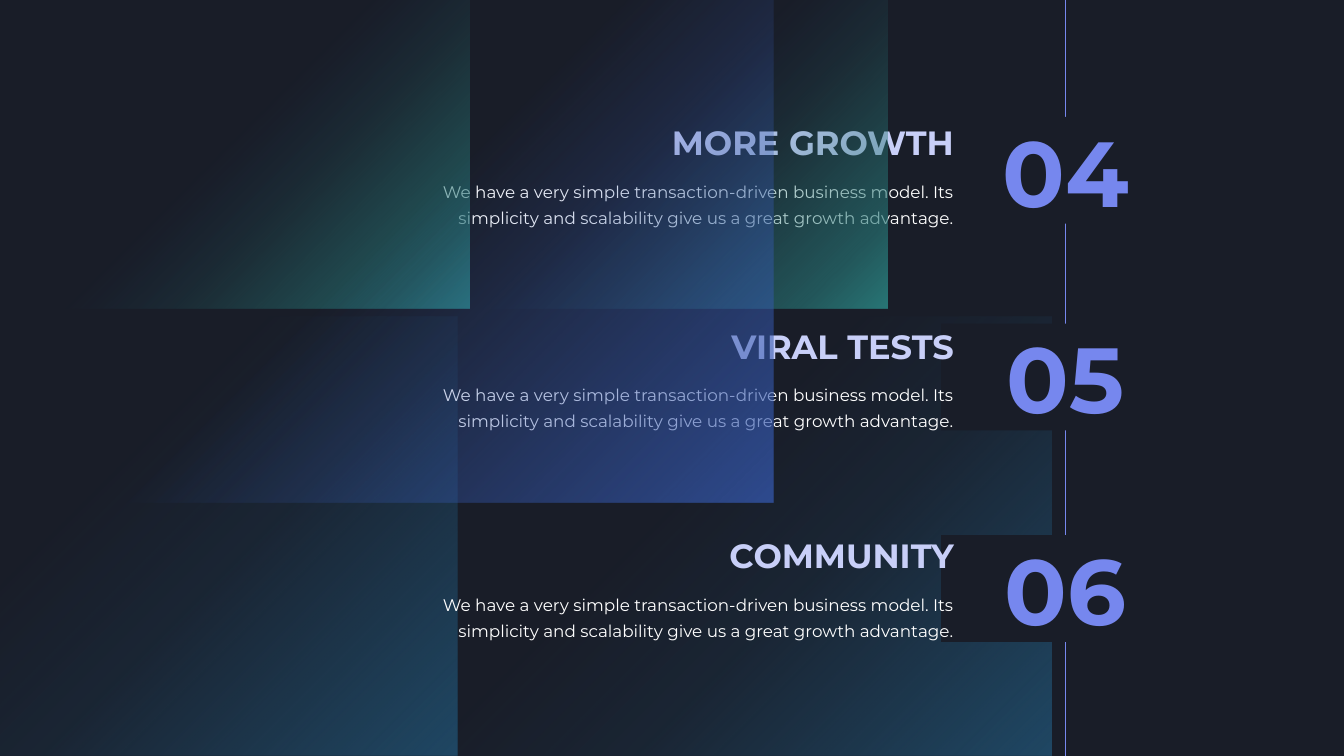
from lxml import etree
from pptx import Presentation
from pptx.dml.color import RGBColor
from pptx.enum.shapes import MSO_CONNECTOR, MSO_SHAPE
from pptx.enum.text import MSO_ANCHOR, PP_ALIGN
from pptx.oxml import parse_xml
from pptx.oxml.ns import nsdecls, qn
from pptx.util import Inches, Pt

RECTANGLE = MSO_SHAPE.RECTANGLE
STRAIGHT = MSO_CONNECTOR.STRAIGHT
MIDDLE = MSO_ANCHOR.MIDDLE
CENTER, RIGHT = PP_ALIGN.CENTER, PP_ALIGN.RIGHT

WIDTH, HEIGHT = 13.33, 7.5
FONT = "Montserrat"
NIGHT, PERIWINKLE, LAVENDER, WHITE = "191D28", "7687EE", "C8CFF8", "FFFFFF"

# Gradient stops: position in percent, colour, opacity in percent
BLUE_GLOW = [(0, "215273", 80), (40, "215273", 16), (61, "215273", 0)]
TEAL_GLOW = [(0, "287676", 100), (12, "287676", 65), (38, "287676", 19), (56, "215273", 0)]
INDIGO_GLOW = [(0, "3558AE", 75), (51, "3558AE", 0)]

LINE_X = 10.57
NUMBER_WIDTH, NUMBER_HEIGHT = 2.47, 1.06
TEXT_RIGHT = 9.46
BODY = ("We have a very simple transaction-driven business model. "
        "Its simplicity and scalability give us a great growth advantage.")
# Number, its top, heading, its top
ITEMS = [("04", 1.16, "MORE GROWTH", 1.16),
         ("05", 3.21, "VIRAL TESTS", 3.18),
         ("06", 5.31, "COMMUNITY", 5.26)]


def color(value):
    return RGBColor.from_string(value)


def add_rectangle(slide, left, top, width, height):
    shape = slide.shapes.add_shape(
        RECTANGLE, Inches(left), Inches(top), Inches(width), Inches(height))
    shape.shadow.inherit = False
    shape.line.fill.background()
    return shape


def add_glow(slide, left, top, width, height, stops, rotation=0, flipped=False):
    """Add a rectangle whose colour fades out from one corner."""
    shape = add_rectangle(slide, left, top, width, height)
    shape.rotation = rotation
    properties = shape._element.spPr
    if flipped:
        properties.find(qn("a:xfrm")).set("flipH", "1")
    stop_xml = "".join(
        f'<a:gs pos="{position * 1000}"><a:srgbClr val="{value}">'
        f'<a:alpha val="{opacity * 1000}"/></a:srgbClr></a:gs>'
        for position, value, opacity in stops)
    properties.find(qn("a:prstGeom")).addnext(parse_xml(
        f'<a:gradFill {nsdecls("a")} rotWithShape="1"><a:gsLst>{stop_xml}</a:gsLst>'
        '<a:path path="circle"><a:fillToRect l="100000" t="100000"/></a:path>'
        '</a:gradFill>'))


def add_timeline(slide):
    line = slide.shapes.add_connector(
        STRAIGHT, Inches(LINE_X), 0, Inches(LINE_X), Inches(HEIGHT))
    line.line.color.rgb = color(PERIWINKLE)
    line.line.width = Pt(0.75)
    etree.SubElement(line._element.spPr, qn("a:effectLst"))


def add_number(slide, number, top):
    """Add an outlined number on a plate that interrupts the timeline."""
    plate = add_rectangle(
        slide, LINE_X - NUMBER_WIDTH / 2, top, NUMBER_WIDTH, NUMBER_HEIGHT)
    plate.fill.solid()
    plate.fill.fore_color.rgb = color(NIGHT)
    frame = plate.text_frame
    frame.margin_left = frame.margin_right = 0
    frame.vertical_anchor = MIDDLE
    paragraph = frame.paragraphs[0]
    paragraph.alignment = CENTER
    run = paragraph.add_run()
    run.text = number
    run.font.name, run.font.size, run.font.bold = FONT, Pt(66), True
    run.font.fill.background()
    run.font._element.insert(0, parse_xml(
        f'<a:ln {nsdecls("a")} w="{Pt(0.5)}"><a:solidFill>'
        f'<a:srgbClr val="{PERIWINKLE}"/></a:solidFill></a:ln>'))


def add_text(slide, text, top, width, height, size, text_color, bold=False):
    """Add right-aligned text ending at the shared right edge."""
    box = slide.shapes.add_textbox(
        Inches(TEXT_RIGHT - width), Inches(top), Inches(width), Inches(height))
    frame = box.text_frame
    frame.word_wrap = True
    frame.margin_left = frame.margin_right = 0
    paragraph = frame.paragraphs[0]
    paragraph.text = text
    paragraph.alignment = RIGHT
    font = paragraph.font
    font.name, font.size, font.bold = FONT, Pt(size), bold
    font.color.rgb = color(text_color)
    return paragraph


def main():
    presentation = Presentation()
    presentation.slide_width = Inches(WIDTH)
    presentation.slide_height = Inches(HEIGHT)
    slide = presentation.slides.add_slide(presentation.slide_layouts[6])
    slide.background.fill.solid()
    slide.background.fill.fore_color.rgb = color(NIGHT)

    add_glow(slide, -1.36, 3.14, 5.9, 4.36, BLUE_GLOW)
    add_glow(slide, 4.53, 3.14, 5.9, 4.36, BLUE_GLOW, flipped=True)
    add_timeline(slide)
    for number, number_top, _, _ in ITEMS:
        add_number(slide, number, number_top)
    for _, _, heading, heading_top in ITEMS:
        add_text(slide, heading, heading_top, 3.5, 0.51, 24, LAVENDER, bold=True)
        body = add_text(slide, BODY, heading_top + 0.53, 5.46, 0.63, 12, WHITE)
        body.line_spacing = 1.3
        body.space_after = Pt(5)
    add_glow(slide, 0.52, 0, 4.14, 3.06, TEAL_GLOW, rotation=180, flipped=True)
    add_glow(slide, 4.66, 0, 4.14, 3.06, TEAL_GLOW, rotation=180)
    add_glow(slide, 0, 0, 7.67, 4.98, INDIGO_GLOW, rotation=180)
    presentation.save("out.pptx")


if __name__ == "__main__":
    main()
